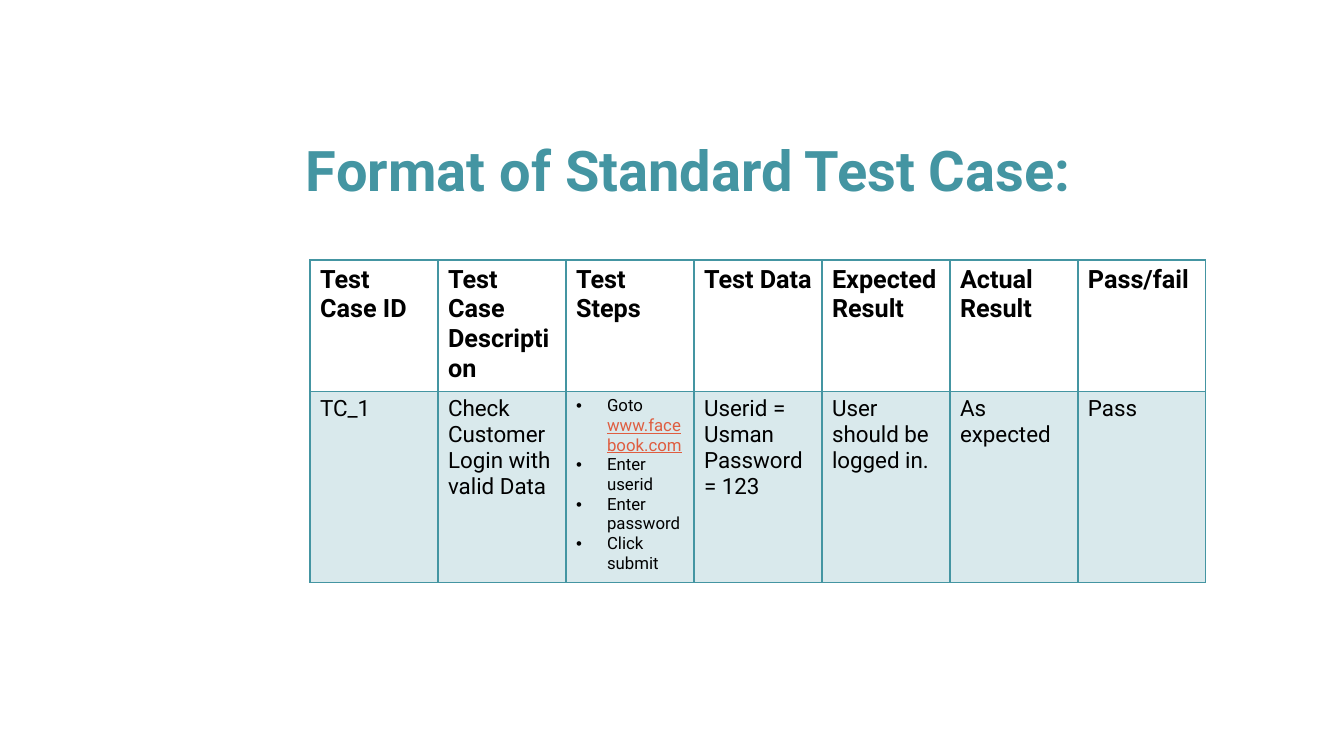
from lxml.etree import SubElement
from pptx import Presentation
from pptx.dml.color import RGBColor
from pptx.oxml import parse_xml
from pptx.oxml.ns import nsdecls, qn
from pptx.util import Emu, Pt

TEAL = RGBColor(0x44, 0x95, 0xA2)
ORANGE = RGBColor(0xDF, 0x5D, 0x40)
BLACK = RGBColor(0, 0, 0)
FONT = "Roboto"
SITE = "www.facebook.com"


def px(n):
    return Emu(round(n * 914400 / 100.8))


def style(font, size, color, bold=False):
    font.name, font.size, font.bold = FONT, Pt(size), bold
    font.color.rgb = color


prs = Presentation()
prs.slide_width, prs.slide_height = px(1344), px(756)
s = prs.slides.add_slide(prs.slide_layouts[6])

# Title
title = s.shapes.add_textbox(px(293), px(126), px(966), px(109))
tf = title.text_frame
tf.word_wrap = True
tf.margin_left = tf.margin_right = px(13)
tf.margin_top = px(10)
tf.text = "Format of Standard Test Case:"
style(tf.paragraphs[0].runs[0].font, 40, TEAL, True)

# Table: one header row, one test case
rows = [
    ["Test Case ID", "Test Case Description", "Test Steps", "Test Data",
     "Expected Result", "Actual Result", "Pass/fail"],
    ["TC_1", "Check Customer Login with valid Data",
     f"Goto \n{SITE}", "Userid = Usman\nPassword = 123",
     "User should be logged in.", "As expected", "Pass"],
]
steps = [["Goto ", SITE], ["Enter userid"], ["Enter password"], ["Click submit"]]
STEPS_COL = 2
row_heights = [128, 187]
col_width = 128

table = s.shapes.add_table(2, 7, px(310), px(260), px(7 * col_width),
                           px(sum(row_heights))).table
table.horz_banding = False
for col in table.columns:
    col.width = px(col_width)

for i, texts in enumerate(rows):
    is_header = i == 0
    table.rows[i].height = px(row_heights[i])
    for j, text in enumerate(texts):
        cell = table.cell(i, j)
        tf = cell.text_frame
        if j == STEPS_COL and not is_header:
            for k, parts in enumerate(steps):
                p = tf.paragraphs[0] if k == 0 else tf.add_paragraph()
                pPr = p._p.get_or_add_pPr()
                pPr.set("marL", str(px(31)))
                pPr.set("indent", str(-px(31)))
                SubElement(pPr, qn("a:buFont")).set("typeface", "Arial")
                SubElement(pPr, qn("a:buChar")).set("char", "•")
                for part in parts:
                    r = p.add_run()
                    r.text = part
                    style(r.font, 12, ORANGE if part == SITE else BLACK)
                    r.font.underline = part == SITE
        else:
            tf.text = text
            for p in tf.paragraphs:
                style(p.runs[0].font, 18 if is_header else 16, BLACK, is_header)

        tcPr = cell._tc.get_or_add_tcPr()
        if is_header:
            cell.fill.background()
        else:
            cell.fill.solid()
            cell.fill.fore_color.rgb = TEAL
            alpha = SubElement(tcPr.find(".//" + qn("a:srgbClr")), qn("a:alpha"))
            alpha.set("val", "20000")
        for n, side in enumerate("LRTB"):
            tcPr.insert(n, parse_xml(
                f'<a:ln{side} {nsdecls("a")} w="{Pt(1)}"><a:solidFill>'
                f'<a:srgbClr val="{TEAL}"/></a:solidFill></a:ln{side}>'))

prs.save("out.pptx")
